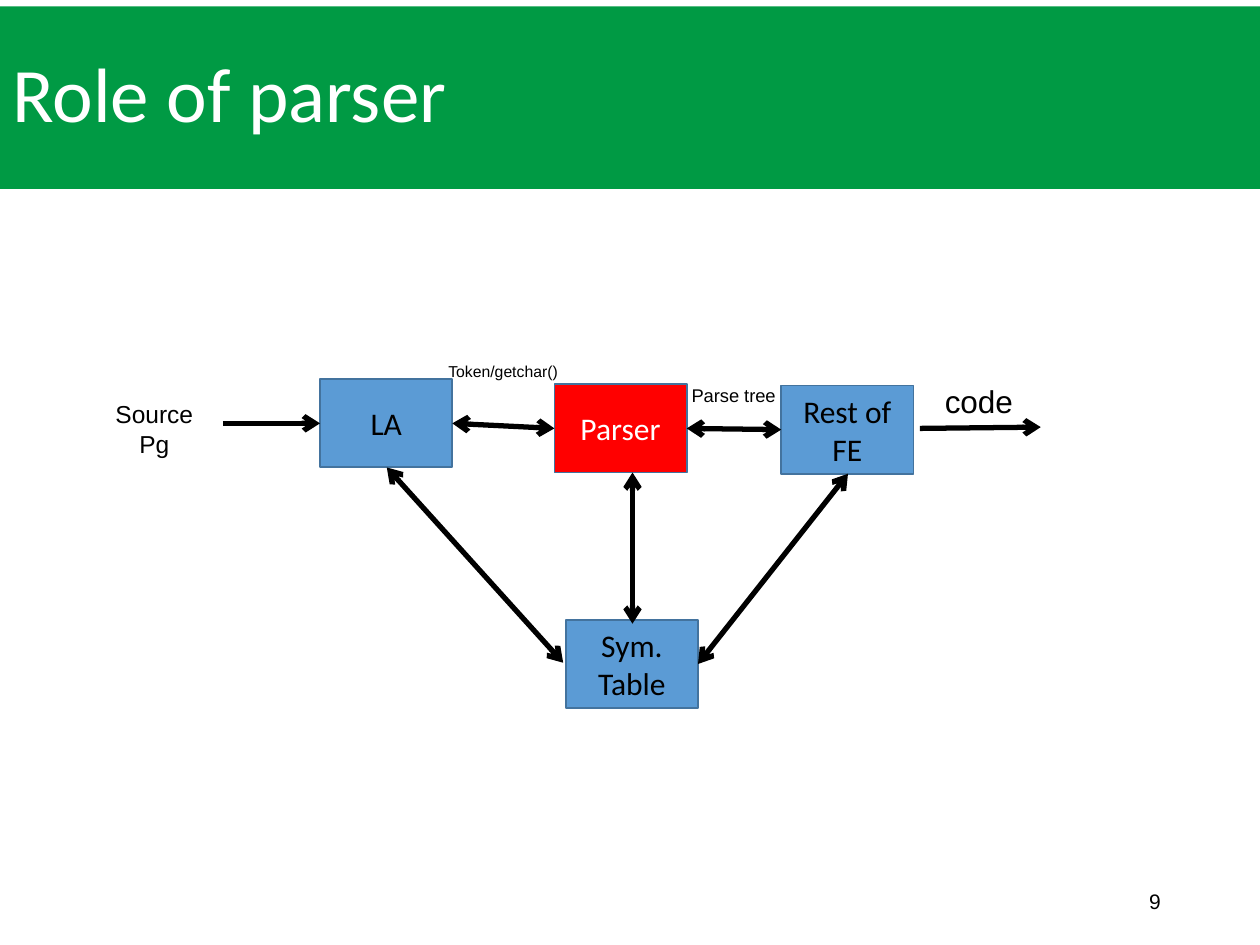
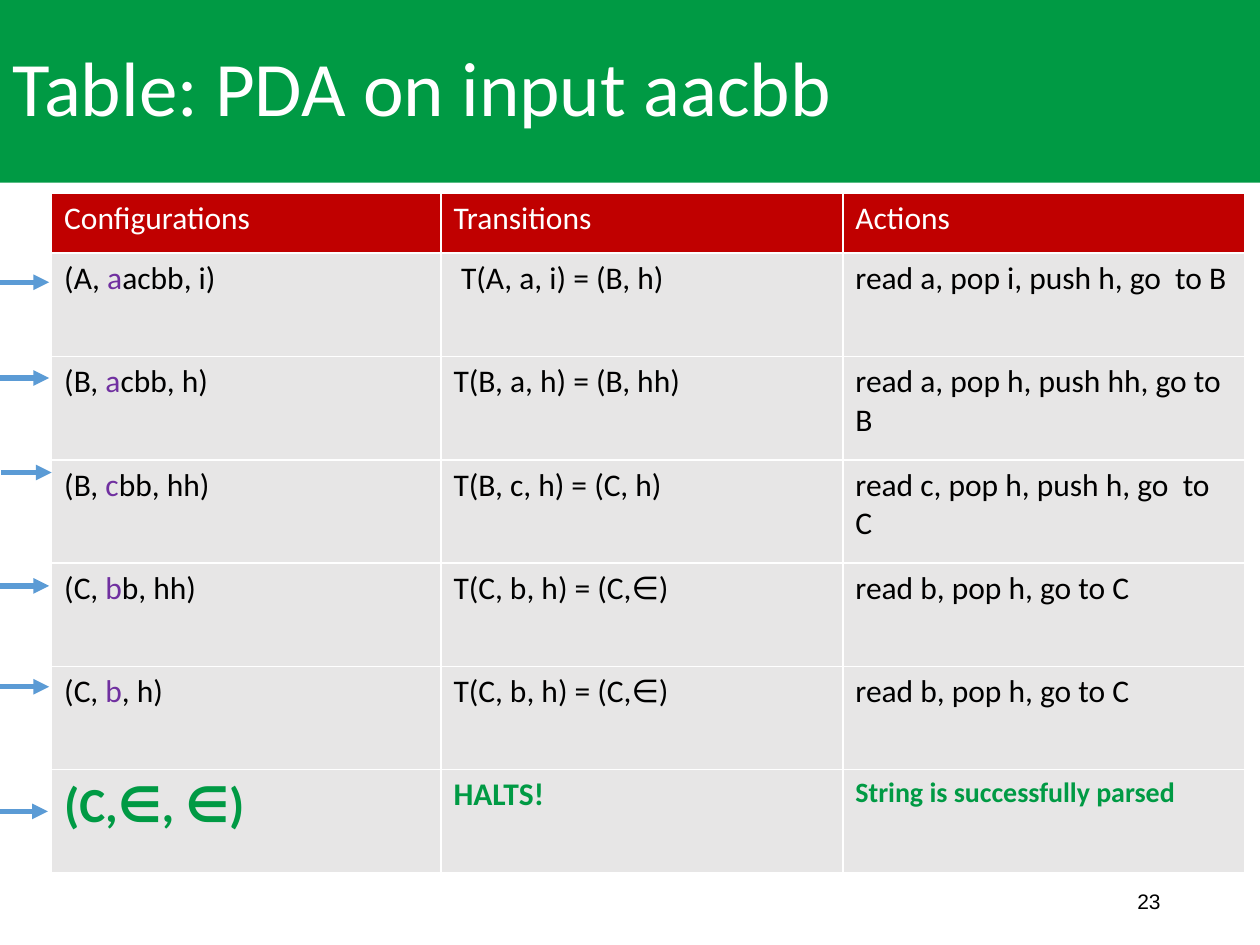
import pptx
import pptx.dml.color
import pptx.enum.shapes
import pptx.enum.text
import pptx.oxml.ns
import pptx.util
from lxml import etree

Inches = pptx.util.Inches
Pt = pptx.util.Pt
RGBColor = pptx.dml.color.RGBColor
Align = pptx.enum.text.PP_ALIGN
Anchor = pptx.enum.text.MSO_ANCHOR
qn = pptx.oxml.ns.qn

GREEN = RGBColor(0x00, 0x9A, 0x44)
BLUE = RGBColor(0x5B, 0x9B, 0xD5)
DARK_BLUE = RGBColor(0x43, 0x73, 0x9E)
RED = RGBColor(0xFF, 0x00, 0x00)
DARK_RED = RGBColor(0xC0, 0x00, 0x00)
PURPLE = RGBColor(0x70, 0x30, 0xA0)
GREY = RGBColor(0xE7, 0xE6, 0xE6)
BLACK = RGBColor(0x00, 0x00, 0x00)
WHITE = RGBColor(0xFF, 0xFF, 0xFF)

BLOCK_WIDTH, BLOCK_HEIGHT = 1.05, 0.7
BLOCKS = [
    ("LA", 2.54, 3.01, BLUE, BLACK),
    ("Parser", 4.4, 3.05, RED, WHITE),
    ("Rest of FE", 6.2, 3.06, BLUE, BLACK),
    ("Sym. Table", 4.49, 4.92, BLUE, BLACK),
]
TWO_WAY_ARROWS = [
    ((3.59, 3.36), (4.4, 3.4)),
    ((3.07, 3.71), (4.47, 5.26)),
    ((5.02, 3.75), (5.02, 4.95)),
    ((6.73, 3.76), (5.54, 5.27)),
    ((5.45, 3.4), (6.2, 3.41)),
]
ONE_WAY_ARROWS = [((1.77, 3.36), (2.54, 3.36)), ((7.3, 3.4), (8.26, 3.39))]
LABELS = [
    (["Parse tree"], (5.39, 3, 1.77, 0.28), 10.5, Align.LEFT),
    (["code"], (7.4, 2.98, 1.23, 0.4), 18, Align.LEFT),
    (["Token/getchar()"], (3.46, 2.82, 1.81, 0.25), 9, Align.LEFT),
    (["Source", "Pg"], (0.34, 3.12, 1.77, 0.57), 14, Align.CENTER),
]

HEADINGS = ["Configurations", "Transitions", "Actions"]
STEPS = [
    (("(A, ", "a", "acbb, i)"), "T(A, a, i) = (B, h)", "read a, pop i, push h, go  to B"),
    (("(B, ", "a", "cbb, h)"), "T(B, a, h) = (B, hh)", "read a, pop h, push hh, go to B"),
    (("(B, ", "c", "bb, hh)"), "T(B, c, h) = (C, h)", "read c, pop h, push h, go  to C"),
    (("(C, ", "b", "b, hh)"), "T(C, b, h) = (C,∈)", "read b, pop h, go to C"),
    (("(C, ", "b", ", h)"), "T(C, b, h) = (C,∈)", "read b, pop h, go to C"),
]
RESULT = [("(C,∈, ∈)", 28), ("HALTS!", 18), ("String is successfully parsed", 16)]
COLUMN_WIDTHS = [3.09, 3.19, 3.19]
HEADING_HEIGHT, STEP_HEIGHT = 0.48, 0.82
STEP_ARROWS = [
    (0, 0.39, 2.24), (0, 0.39, 3), (0.01, 0.41, 3.75),
    (0, 0.39, 4.65), (0, 0.39, 5.45), (0, 0.38, 6.44),
]


def add_run(para, text, size, color, font="Calibri", bold=False):
    span = para.add_run()
    span.text = text
    span.font.name = font
    span.font.size = Pt(size)
    span.font.bold = bold
    span.font.color.rgb = color


def add_label(slide, lines, place, size, align, anchor=Anchor.TOP):
    box = slide.shapes.add_textbox(*map(Inches, place))
    frame = box.text_frame
    frame.word_wrap = True
    frame.vertical_anchor = anchor
    for index, line in enumerate(lines):
        para = frame.add_paragraph() if index else frame.paragraphs[0]
        para.alignment = align
        add_run(para, line, size, BLACK, "Arial")


def add_titled_slide(deck, title, top, number):
    slide = deck.slides.add_slide(deck.slide_layouts[5])
    band = slide.shapes.title
    band.left, band.top, band.width, band.height = map(Inches, (0, top, 10, 1.45))
    band.fill.solid()
    band.fill.fore_color.rgb = GREEN
    frame = band.text_frame
    frame.auto_size = pptx.enum.text.MSO_AUTO_SIZE.NONE
    frame.vertical_anchor = Anchor.MIDDLE
    para = frame.paragraphs[0]
    para.alignment = Align.LEFT
    para.line_spacing = 0.9
    add_run(para, title, 44, WHITE)
    add_label(slide, [number], (7.06, 6.95, 2.25, 0.4), 12, Align.RIGHT, Anchor.MIDDLE)
    return slide


def add_block(slide, text, left, top, fill, color):
    block = slide.shapes.add_shape(
        pptx.enum.shapes.MSO_SHAPE.RECTANGLE,
        *map(Inches, (left, top, BLOCK_WIDTH, BLOCK_HEIGHT)))
    block.shadow.inherit = False
    block.fill.solid()
    block.fill.fore_color.rgb = fill
    block.line.color.rgb = DARK_BLUE
    block.line.width = Pt(1)
    frame = block.text_frame
    frame.word_wrap = True
    frame.vertical_anchor = Anchor.MIDDLE
    para = frame.paragraphs[0]
    para.alignment = Align.CENTER
    add_run(para, text, 18, color)


def add_arrow(slide, start, end, color, style, two_way=False):
    arrow = slide.shapes.add_connector(
        pptx.enum.shapes.MSO_CONNECTOR.STRAIGHT, *map(Inches, start + end))
    arrow.line.color.rgb = color
    arrow.line.width = Pt(3)
    line = arrow.line._get_or_add_ln()
    for tag in ("a:headEnd", "a:tailEnd") if two_way else ("a:tailEnd",):
        etree.SubElement(line, qn(tag), type=style)
    etree.SubElement(arrow._element.spPr, qn("a:effectLst"))


def format_cell(cell, fill):
    properties = cell._tc.get_or_add_tcPr()
    for side in "LRTB":
        border = etree.SubElement(properties, qn(f"a:ln{side}"), w=str(Pt(1)))
        paint = etree.SubElement(border, qn("a:solidFill"))
        etree.SubElement(paint, qn("a:srgbClr"), val=str(WHITE))
    cell.fill.solid()
    cell.fill.fore_color.rgb = fill


def fill_cell(cell, spans, fill, bold=False):
    format_cell(cell, fill)
    for text, size, color in spans:
        add_run(cell.text_frame.paragraphs[0], text, size, color, bold=bold)


def add_trace_table(slide):
    row_heights = [HEADING_HEIGHT] + [STEP_HEIGHT] * (len(STEPS) + 1)
    table = slide.shapes.add_table(
        len(row_heights), len(COLUMN_WIDTHS), Inches(0.41), Inches(1.53),
        Inches(sum(COLUMN_WIDTHS)), Inches(sum(row_heights))).table
    for column, width in zip(table.columns, COLUMN_WIDTHS):
        column.width = Inches(width)
    for row, height in zip(table.rows, row_heights):
        row.height = Inches(height)
    for column, heading in enumerate(HEADINGS):
        fill_cell(table.cell(0, column), [(heading, 18, WHITE)], DARK_RED)
    for row, (configuration, transition, action) in enumerate(STEPS, 1):
        colors = (BLACK, PURPLE, BLACK)
        spans = [(text, 18, color) for text, color in zip(configuration, colors)]
        fill_cell(table.cell(row, 0), spans, GREY)
        fill_cell(table.cell(row, 1), [(transition, 18, BLACK)], GREY)
        fill_cell(table.cell(row, 2), [(action, 18, BLACK)], GREY)
    table.cell(1, 1).margin_left = Inches(0.16)
    for column, (text, size) in enumerate(RESULT):
        fill_cell(table.cell(len(STEPS) + 1, column), [(text, size, GREEN)], GREY, bold=True)


def build_parser_slide(deck):
    slide = add_titled_slide(deck, "Role of parser", 0.05, "9")
    for block in BLOCKS:
        add_block(slide, *block)
    for start, end in TWO_WAY_ARROWS:
        add_arrow(slide, start, end, BLACK, "arrow", two_way=True)
    for start, end in ONE_WAY_ARROWS:
        add_arrow(slide, start, end, BLACK, "arrow")
    for label in LABELS:
        add_label(slide, *label)


def build_trace_slide(deck):
    slide = add_titled_slide(deck, "Table: PDA on input aacbb", 0, "23")
    add_trace_table(slide)
    for left, right, height in STEP_ARROWS:
        add_arrow(slide, (left, height), (right, height), BLUE, "triangle")


def main():
    deck = pptx.Presentation()
    deck.slide_width = Inches(10)
    deck.slide_height = Inches(7.5)
    build_parser_slide(deck)
    build_trace_slide(deck)
    deck.save("out.pptx")


if __name__ == "__main__":
    main()
